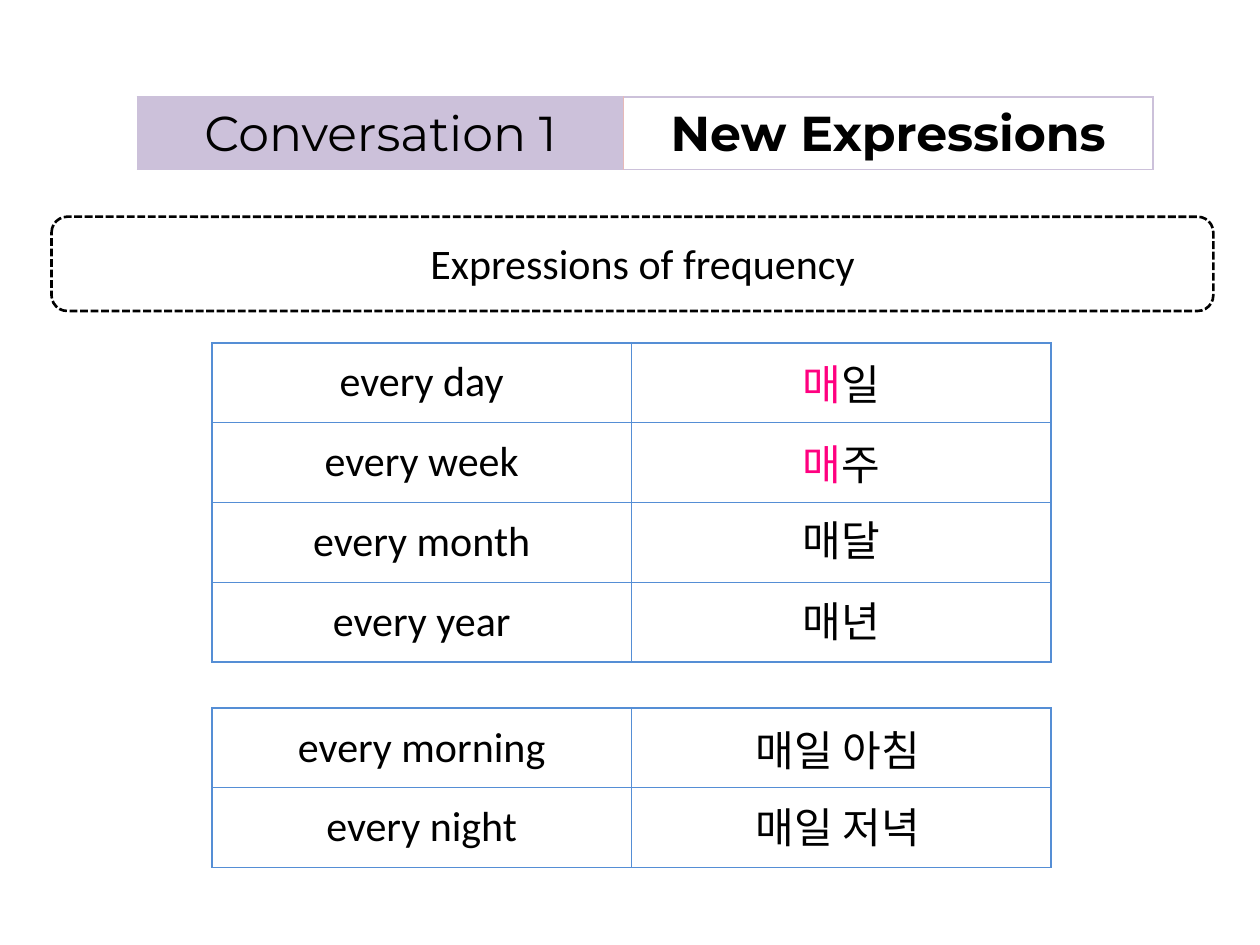
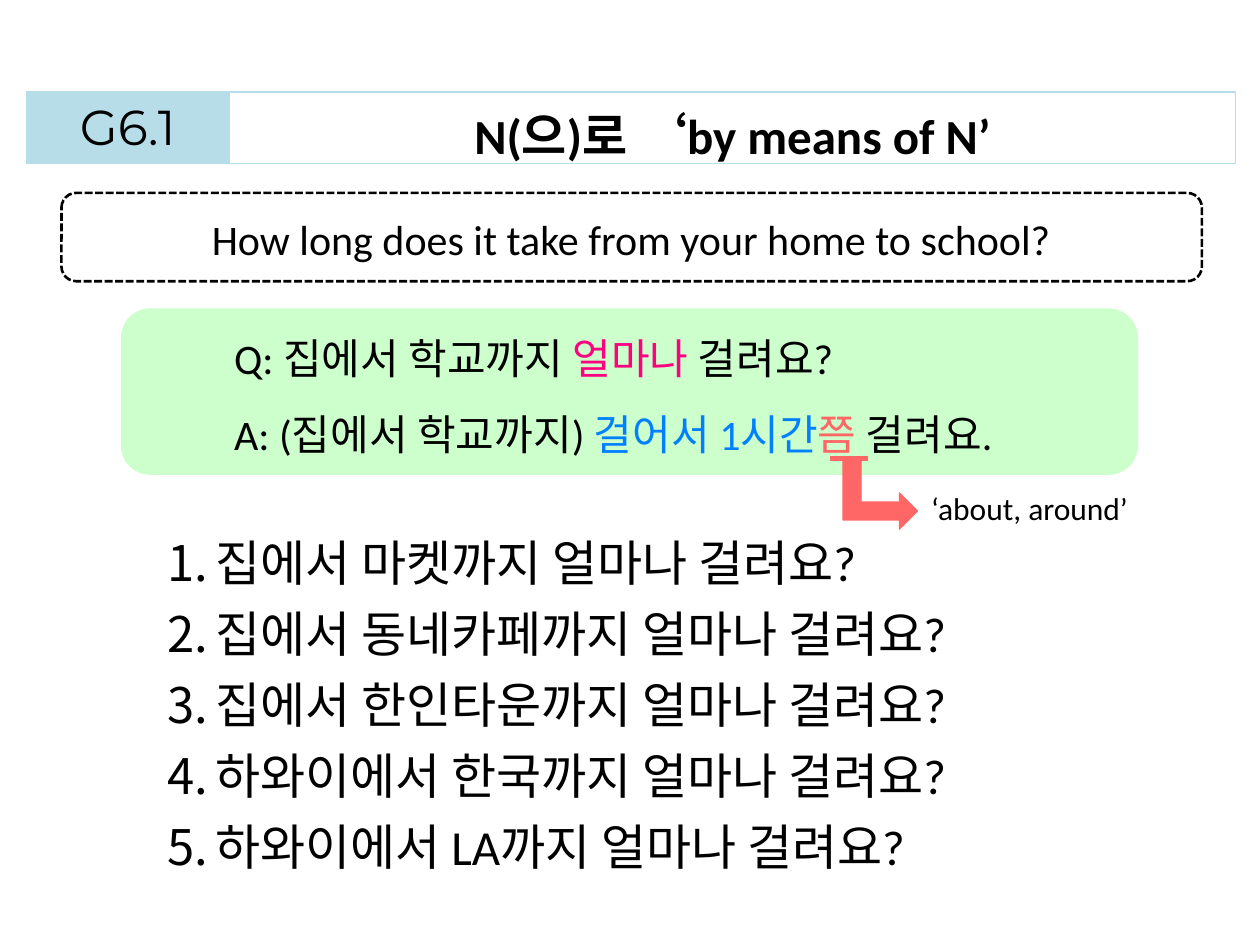
from dataclasses import dataclass
from typing import NamedTuple, Optional

from lxml.etree import SubElement
from pptx import Presentation
from pptx.dml.color import RGBColor
from pptx.enum.dml import MSO_LINE_DASH_STYLE as Dash
from pptx.enum.shapes import MSO_CONNECTOR as Connector, MSO_SHAPE as Shape
from pptx.enum.text import MSO_ANCHOR as Anchor, MSO_AUTO_SIZE as AutoSize, PP_ALIGN as Align
from pptx.oxml.ns import qn
from pptx.util import Cm, Pt


@dataclass(frozen=True)
class Theme:
    ink: str = "000000"
    pink: str = "FF0080"
    blue: str = "0080FF"
    coral: str = "FF6666"
    mint: str = "CCFFCC"
    lilac: str = "CCC1DA"
    rose: str = "E6B9B8"
    aqua: str = "B7DEE8"
    grid: str = "558ED5"
    body: str = "Calibri"
    display: str = "Montserrat"
    korean: str = "Noto Sans CJK KR"
    heading_size: int = 28
    body_size: int = 24
    note_size: int = 18


THEME = Theme()


class Span(NamedTuple):
    text: str
    color: str = THEME.ink
    font: str = THEME.body
    bold: bool = False


class Area(NamedTuple):
    """Left, top, width and height in centimetres."""
    left: float
    top: float
    width: float
    height: float

    def lengths(self) -> list:
        return [Cm(value) for value in self]


class Heading(NamedTuple):
    label: str
    title: str
    title_font: str
    left: float
    top: float
    widths: tuple
    color: str
    divider: str


class Prompt(NamedTuple):
    text: str
    frame: Area
    text_area: Area


class Answer(NamedTuple):
    text: str
    area: Area


HANGING = 0.97
ROW_HEIGHT = 1.61
TABLE_LEFT, COLUMN_WIDTH = 4.27, 8.46


def korean(text: str, color: str = THEME.ink) -> Span:
    return Span(text, color, THEME.korean)


def rgb(color: str) -> RGBColor:
    return RGBColor.from_string(color)


def write(para, spans: list, size: int, align=Align.LEFT) -> None:
    para.alignment = align
    for span in spans:
        run = para.add_run()
        run.text = span.text
        font = run.font
        font.size, font.bold, font.name = Pt(size), span.bold, span.font
        font.color.rgb = rgb(span.color)
        east_asian = SubElement(run._r.get_or_add_rPr(), qn("a:ea"))
        east_asian.set("typeface", THEME.korean)


def add_text(page, area: Area, lines: list, size: int = THEME.body_size, align=Align.LEFT,
             wrap: bool = True, hanging: bool = False, numbered: bool = False, spacing=None) -> None:
    box = page.shapes.add_textbox(*area.lengths())
    frame = box.text_frame
    frame.word_wrap = wrap
    frame.auto_size = AutoSize.SHAPE_TO_FIT_TEXT
    for index, spans in enumerate(lines):
        para = frame.add_paragraph() if index else frame.paragraphs[0]
        if spacing:
            para.line_spacing = spacing
        if hanging:
            properties = para._p.get_or_add_pPr()
            properties.set("marL", str(Cm(HANGING)))
            properties.set("indent", str(-Cm(HANGING)))
            if numbered:
                SubElement(properties, qn("a:buAutoNum")).set("type", "arabicPeriod")
        write(para, spans, size, align)


def add_shape(page, kind, area: Area, line: str, weight: float, fill: Optional[str] = None):
    shape = page.shapes.add_shape(kind, *area.lengths())
    shape.shadow.inherit = False
    if fill:
        shape.fill.solid()
        shape.fill.fore_color.rgb = rgb(fill)
    else:
        shape.fill.background()
    shape.line.color.rgb = rgb(line)
    shape.line.width = Pt(weight)
    return shape


def add_table(page, left: float, top: float, widths: tuple, height: float, rows: int):
    """Add a table with no banding or header style."""
    area = Area(left, top, sum(widths), height * rows)
    table = page.shapes.add_table(rows, len(widths), *area.lengths()).table
    table.first_row = table.horz_banding = False
    for column, width in zip(table.columns, widths):
        column.width = Cm(width)
    return table


def style_cell(cell, left: str, right: str, edge: str, fill: Optional[str] = None) -> None:
    """Draw the four borders, top and bottom in the edge colour, and set the fill."""
    properties = cell._tc.get_or_add_tcPr()
    for side, color in zip("LRTB", (left, right, edge, edge)):
        border = SubElement(properties, qn(f"a:ln{side}"), w=str(Pt(1)))
        solid = SubElement(border, qn("a:solidFill"))
        SubElement(solid, qn("a:srgbClr")).set("val", color)
    if fill:
        cell.fill.solid()
        cell.fill.fore_color.rgb = rgb(fill)
    else:
        cell.fill.background()


def add_heading(page, heading: Heading) -> None:
    table = add_table(page, heading.left, heading.top, heading.widths, 1.4, 1)
    label, title = table.cell(0, 0), table.cell(0, 1)
    style_cell(label, heading.color, heading.divider, heading.color, heading.color)
    style_cell(title, heading.divider, heading.color, heading.color)
    for cell, span in ((label, Span(heading.label, font=THEME.display)),
                       (title, Span(heading.title, font=heading.title_font, bold=True))):
        write(cell.text_frame.paragraphs[0], [span], THEME.heading_size, Align.CENTER)


def add_prompt(page, prompt: Prompt) -> None:
    outline = add_shape(page, Shape.ROUNDED_RECTANGLE, prompt.frame, THEME.ink, 1.5)
    outline.line.dash_style = Dash.SQUARE_DOT
    add_text(page, prompt.text_area, [[Span(prompt.text)]], align=Align.CENTER)


def add_vocabulary(page, top: float, rows: list) -> None:
    table = add_table(page, TABLE_LEFT, top, (COLUMN_WIDTH,) * 2, ROW_HEIGHT, len(rows))
    for row, cells in enumerate(rows):
        for column, spans in enumerate(cells):
            cell = table.cell(row, column)
            style_cell(cell, THEME.grid, THEME.grid, THEME.grid)
            cell.vertical_anchor = Anchor.MIDDLE
            write(cell.text_frame.paragraphs[0], spans, THEME.body_size, Align.CENTER)


def build_frequency(page) -> None:
    add_heading(page, Heading("Conversation 1", "New Expressions", THEME.display,
                              2.77, 1.96, (9.8, 10.67), THEME.lilac, THEME.rose))
    add_prompt(page, Prompt("Expressions of frequency", Area(1.04, 4.37, 23.42, 1.9),
                            Area(1.45, 4.67, 23.01, 1.27)))
    every = korean("매", THEME.pink)
    add_vocabulary(page, 6.91, [
        ([Span("every day")], [every, korean("일")]),
        ([Span("every week")], [every, korean("주")]),
        ([Span("every month")], []),
        ([Span("every year")], []),
    ])
    add_vocabulary(page, 14.27, [([Span("every morning")], []), ([Span("every night")], [])])
    for answer in (
        Answer("매달", Area(15.93, 10.24, 2.16, 1.27)),
        Answer("매년", Area(15.93, 11.89, 2.11, 1.27)),
        Answer("매일 아침", Area(14.99, 14.48, 3.96, 1.27)),
        Answer("매일 저녁", Area(14.99, 16.03, 3.96, 1.27)),
    ):
        add_text(page, answer.area, [[korean(answer.text)]], wrap=False)


def add_about_note(page) -> None:
    """Underline the suffix and lead an arrow to its meaning."""
    underline = page.shapes.add_connector(Connector.STRAIGHT, Cm(16.74), Cm(9.25), Cm(17.5), Cm(9.25))
    underline.line.color.rgb = rgb(THEME.coral)
    underline.line.width = Pt(3)
    SubElement(underline._element.spPr, qn("a:effectLst"))
    arrow = add_shape(page, Shape.BENT_UP_ARROW, Area(17.02, 9.19, 1.45, 1.5),
                      THEME.coral, 0.75, THEME.coral)
    arrow.rotation = 90
    add_text(page, Area(18.52, 9.73, 4.52, 1.02), [[Span("‘about, around’")]],
             THEME.note_size, wrap=False)


def build_duration(page) -> None:
    add_heading(page, Heading("G6.1", "N(으)로 ‘by means of N’", THEME.body,
                              0.53, 1.85, (4.09, 20.29), THEME.aqua, THEME.aqua))
    add_prompt(page, Prompt("How long does it take from your home to school?",
                            Area(1.24, 3.89, 22.99, 1.78), Area(1.5, 4.17, 22.45, 1.27)))
    add_shape(page, Shape.ROUNDED_RECTANGLE, Area(2.49, 6.27, 20.4, 3.25), THEME.mint, 3, THEME.mint)
    add_text(page, Area(4.47, 6.07, 17.22, 3.25), [
        [Span("Q: 집에서 학교까지 "), Span("얼마나", THEME.pink), Span(" 걸려요?")],
        [Span("A: (집에서 학교까지) "), Span("걸어서 1시간", THEME.blue),
         Span("쯤 ", THEME.coral), Span("걸려요.")],
    ], hanging=True, spacing=1.5)
    add_about_note(page)
    routes = ("집에서 마켓까지", "집에서 동네카페까지", "집에서 한인타운까지",
              "하와이에서 한국까지", "하와이에서 LA까지")
    add_text(page, Area(3.12, 10.36, 21.87, 7.44),
             [[Span(f"{route} 얼마나 걸려요?")] for route in routes],
             THEME.heading_size, hanging=True, numbered=True, spacing=Pt(40.6))


def main() -> None:
    deck = Presentation()
    deck.slide_width, deck.slide_height = Cm(25.4), Cm(19.05)
    blank = deck.slide_layouts[6]
    for build in (build_frequency, build_duration):
        build(deck.slides.add_slide(blank))
    deck.save("out.pptx")


if __name__ == "__main__":
    main()
